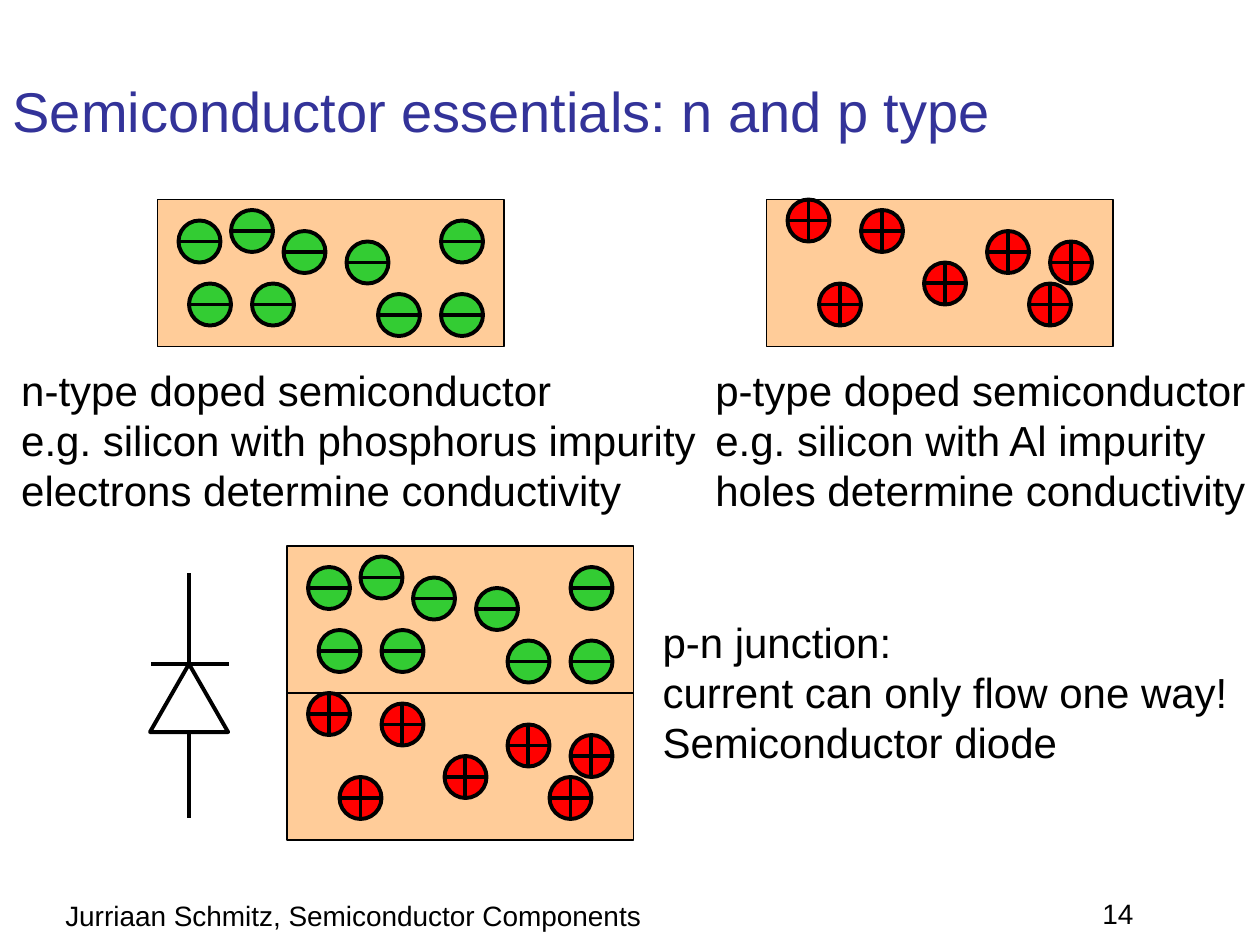
"""Build the slide on n-type and p-type semiconductors."""
from dataclasses import dataclass

from lxml.etree import SubElement
from pptx import Presentation
from pptx.dml.color import RGBColor
from pptx.enum.shapes import MSO_CONNECTOR as Connector, MSO_SHAPE as Shape
from pptx.enum.text import MSO_ANCHOR as Anchor, MSO_AUTO_SIZE as AutoSize, PP_ALIGN as Align
from pptx.oxml.ns import qn
from pptx.util import Inches, Pt

BLACK = RGBColor(0x00, 0x00, 0x00)
WHITE = RGBColor(0xFF, 0xFF, 0xFF)
NAVY = RGBColor(0x33, 0x33, 0x99)
PEACH = RGBColor(0xFF, 0xCC, 0x99)
GREEN = RGBColor(0x33, 0xCC, 0x33)
RED = RGBColor(0xFF, 0x00, 0x00)

UNIT = 1 / 12
CARRIER = 4 * UNIT
BLOCK_WIDTH, BLOCK_HEIGHT = 33 * UNIT, 14 * UNIT
THIN, THICK = 0.75, 2.25


@dataclass(frozen=True)
class Doping:
    """Carrier colour, sign and grid positions within a block."""
    color: RGBColor
    positive: bool
    spots: tuple[tuple[int, int], ...]


@dataclass(frozen=True)
class Block:
    """A doped piece of semiconductor at a place."""
    left: float
    top: float
    doping: Doping


@dataclass(frozen=True)
class Label:
    """Lines of text in a box."""
    left: float
    top: float
    width: float
    height: float
    size: int
    lines: tuple[str, ...]


N_TYPE = Doping(GREEN, False, ((2, 2), (3, 8), (9, 8), (7, 1), (12, 3),
                               (18, 4), (27, 9), (27, 2), (21, 9)))
P_TYPE = Doping(RED, True, ((5, 8), (9, 1), (15, 6), (27, 4), (25, 8), (2, 0), (21, 3)))

JUNCTION_LEFT, JUNCTION_TOP = 82 / 3 * UNIT, 52 * UNIT
BLOCKS = (
    Block(15 * UNIT, 19 * UNIT, N_TYPE),
    Block(73 * UNIT, 19 * UNIT, P_TYPE),
    Block(JUNCTION_LEFT, JUNCTION_TOP, N_TYPE),
    Block(JUNCTION_LEFT, JUNCTION_TOP + BLOCK_HEIGHT, P_TYPE),
)
LABELS = (
    Label(0.42, 7.08, 4.77, 0.37, 16, ("Jurriaan Schmitz, Semiconductor Components",)),
    Label(8.65, 7.07, 1.21, 0.37, 16, ("14",)),
    Label(0.07, 2.84, 5.55, 1.3, 24, ("n-type doped semiconductor",
                                      "e.g. silicon with phosphorus impurity",
                                      "electrons determine conductivity")),
    Label(5.58, 2.84, 4.4, 1.3, 24, ("p-type doped semiconductor",
                                     "e.g. silicon with Al impurity",
                                     "holes determine conductivity")),
    Label(5.16, 4.84, 4.68, 1.3, 24, ("p-n junction: ",
                                      "current can only flow one way!",
                                      "Semiconductor diode")),
)


def apply(target, formats: dict) -> None:
    """Set each attribute of the target from the format values."""
    for name, value in formats.items():
        setattr(target, name, value)


def style_font(font, size: int, color: RGBColor) -> None:
    """Give a font its face, size and colour."""
    apply(font, {"name": "Arial", "size": Pt(size)})
    font.color.rgb = color


def add_outlined(page, kind: Shape, left: float, top: float, width: float,
                 height: float, fill: RGBColor, weight: float) -> None:
    """Add a filled preset shape with a black outline."""
    shape = page.shapes.add_shape(kind, Inches(left), Inches(top), Inches(width), Inches(height))
    shape.shadow.inherit = False
    shape.fill.solid()
    shape.fill.fore_color.rgb = fill
    shape.line.color.rgb = BLACK
    shape.line.width = Pt(weight)


def add_line(page, left: float, top: float, right: float, bottom: float) -> None:
    """Add a thick black line."""
    line = page.shapes.add_connector(Connector.STRAIGHT, Inches(left), Inches(top),
                                     Inches(right), Inches(bottom))
    line.line.color.rgb = BLACK
    line.line.width = Pt(THICK)
    SubElement(line._element.spPr, qn("a:effectLst"))


def add_carrier(page, left: float, top: float, doping: Doping) -> None:
    """Add a charge carrier with its minus or plus sign."""
    add_outlined(page, Shape.OVAL, left, top, CARRIER, CARRIER, doping.color, THICK)
    middle, center = top + CARRIER / 2, left + CARRIER / 2
    add_line(page, left, middle, left + CARRIER, middle)
    if doping.positive:
        add_line(page, center, top, center, top + CARRIER)


def add_block(page, block: Block) -> None:
    """Add a doped block with its carriers."""
    add_outlined(page, Shape.RECTANGLE, block.left, block.top,
                 BLOCK_WIDTH, BLOCK_HEIGHT, PEACH, THIN)
    for column, row in block.doping.spots:
        add_carrier(page, block.left + column * UNIT, block.top + row * UNIT, block.doping)


def add_label(page, label: Label) -> None:
    """Add a text box with one paragraph per line."""
    box = page.shapes.add_textbox(Inches(label.left), Inches(label.top),
                                  Inches(label.width), Inches(label.height))
    frame = box.text_frame
    apply(frame, {"word_wrap": True, "auto_size": AutoSize.NONE,
                  "margin_right": Inches(0), "text": "\n".join(label.lines)})
    for para in frame.paragraphs:
        para.alignment = Align.LEFT
        for span in para.runs:
            style_font(span.font, label.size, BLACK)


def add_title(page, text: str) -> None:
    """Place and format the title placeholder."""
    title = page.shapes.title
    apply(title, {"left": Inches(0), "top": Inches(0.25),
                  "width": Inches(10), "height": Inches(1.25)})
    apply(title.text_frame, {"text": text, "vertical_anchor": Anchor.MIDDLE,
                             "auto_size": AutoSize.NONE})
    para = title.text_frame.paragraphs[0]
    para.alignment = Align.LEFT
    style_font(para.runs[0].font, 32, NAVY)


def add_diode(page) -> None:
    """Add the circuit symbol of a diode."""
    add_line(page, 1.5, 4.55, 1.5, 6.49)
    add_line(page, 1.2, 5.27, 1.82, 5.27)
    add_outlined(page, Shape.ISOSCELES_TRIANGLE, 1.19, 5.27, 0.62, 0.54, WHITE, THICK)


def main() -> None:
    """Build and save the deck."""
    deck = Presentation()
    apply(deck, {"slide_width": Inches(10), "slide_height": Inches(7.5)})
    page = deck.slides.add_slide(deck.slide_layouts[5])
    add_title(page, "Semiconductor essentials: n and p type")
    for block in BLOCKS:
        add_block(page, block)
    for label in LABELS:
        add_label(page, label)
    add_diode(page)
    deck.save("out.pptx")


main()
